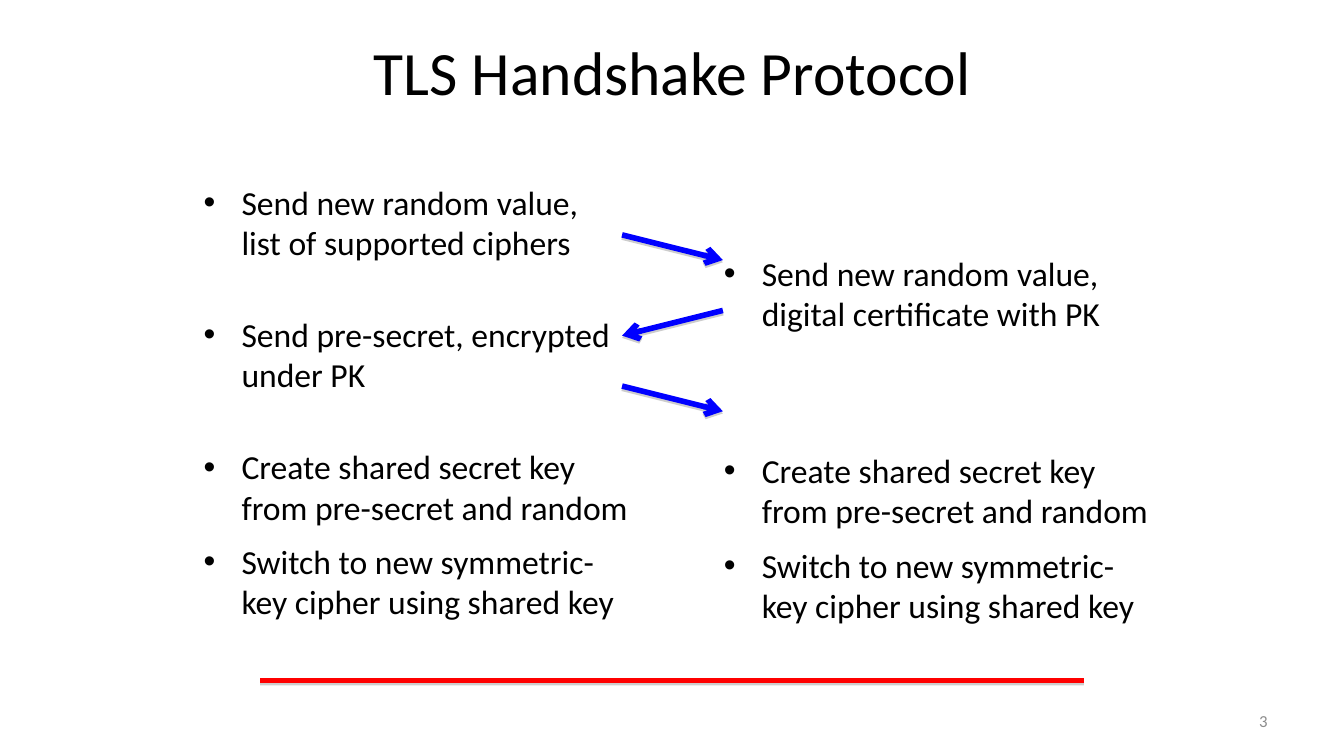
"""Build the TLS Handshake Protocol slide."""
import pptx
import pptx.dml.color
import pptx.enum.shapes
import pptx.enum.text
import pptx.oxml
import pptx.oxml.ns
import pptx.util

Inches = pptx.util.Inches
Pt = pptx.util.Pt
COLORS = {"text": "000000", "number": "8C8C8C", "message": "0000FF",
          "rule": "FF0000", "shadow": "808080"}
FONT = "Calibri"
NAMESPACE = pptx.oxml.ns.nsdecls("a")


def format_text(paragraph, size, color):
    for run in paragraph.runs:
        run.font.name = FONT
        run.font.size = Pt(size)
        run.font.color.rgb = pptx.dml.color.RGBColor.from_string(COLORS[color])


def add_line(start, end, color):
    line = slide.shapes.add_connector(
        pptx.enum.shapes.MSO_CONNECTOR.STRAIGHT,
        *[Inches(value) for value in start + end])
    line.line.color.rgb = pptx.dml.color.RGBColor.from_string(COLORS[color])
    line.line.width = Pt(4)
    line._element.spPr.append(pptx.oxml.parse_xml(
        f'<a:effectLst {NAMESPACE}><a:outerShdw blurRad="0" dist="20000" '
        f'dir="5400000" rotWithShape="0"><a:srgbClr val="{COLORS["shadow"]}">'
        '<a:alpha val="38000"/></a:srgbClr></a:outerShdw></a:effectLst>'))
    return line


presentation = pptx.Presentation()
presentation.slide_width = Inches(13.33)
presentation.slide_height = Inches(7.5)
slide = presentation.slides.add_slide(presentation.slide_layouts[3])

title = slide.shapes.title
title.left, title.top = Inches(2.17), Inches(0.08)
title.width, title.height = Inches(9), Inches(1.25)
title.text_frame.text = "TLS Handshake Protocol"
format_text(title.text_frame.paragraphs[0], 44, "text")

shared_steps = [
    "Create shared secret key from pre-secret and random",
    "Switch to new symmetric-key cipher using shared key",
]
client_steps = [
    "Send new random value,\vlist of supported ciphers",
    "Send pre-secret, encrypted under PK",
] + shared_steps
server_steps = ["Send new random value, digital certificate with PK"] + shared_steps
columns = [
    (1, 1.92, 0.05, client_steps, [None, 37, 37, 10]),
    (2, 7.08, 0.76, server_steps, [None, 83, 10]),
]
for index, left, inset, steps, gaps in columns:
    body = slide.placeholders[index]
    body.left, body.top = Inches(left), Inches(1.75)
    body.width, body.height = Inches(4.42), Inches(4.95)
    text_frame = body.text_frame
    text_frame.text = "\n".join(steps)
    text_frame.auto_size = pptx.enum.text.MSO_AUTO_SIZE.NONE
    text_frame.margin_top = Inches(inset)
    for paragraph, gap in zip(text_frame.paragraphs, gaps):
        if gap:
            paragraph.space_before = Pt(gap)
        format_text(paragraph, 24, "text")

number = slide.shapes.add_textbox(Inches(9.56), Inches(6.95), Inches(3.11), Inches(0.4))
number.text_frame.text = "3"
number.text_frame.word_wrap = True
number.text_frame.vertical_anchor = pptx.enum.text.MSO_ANCHOR.MIDDLE
number.text_frame.paragraphs[0].alignment = pptx.enum.text.PP_ALIGN.RIGHT
format_text(number.text_frame.paragraphs[0], 12, "number")

client_x, server_x = 6.17, 7.17
for step in range(3):
    top = 2.33 + 0.75 * step
    start_x, end_x = (server_x, client_x) if step == 1 else (client_x, server_x)
    message = add_line((start_x, top), (end_x, top + 0.25), "message")
    message.line._get_or_add_ln().append(
        pptx.oxml.parse_xml(f'<a:tailEnd {NAMESPACE} type="arrow"/>'))

add_line((2.58, 6.75), (10.75, 6.75), "rule")

presentation.save("out.pptx")
